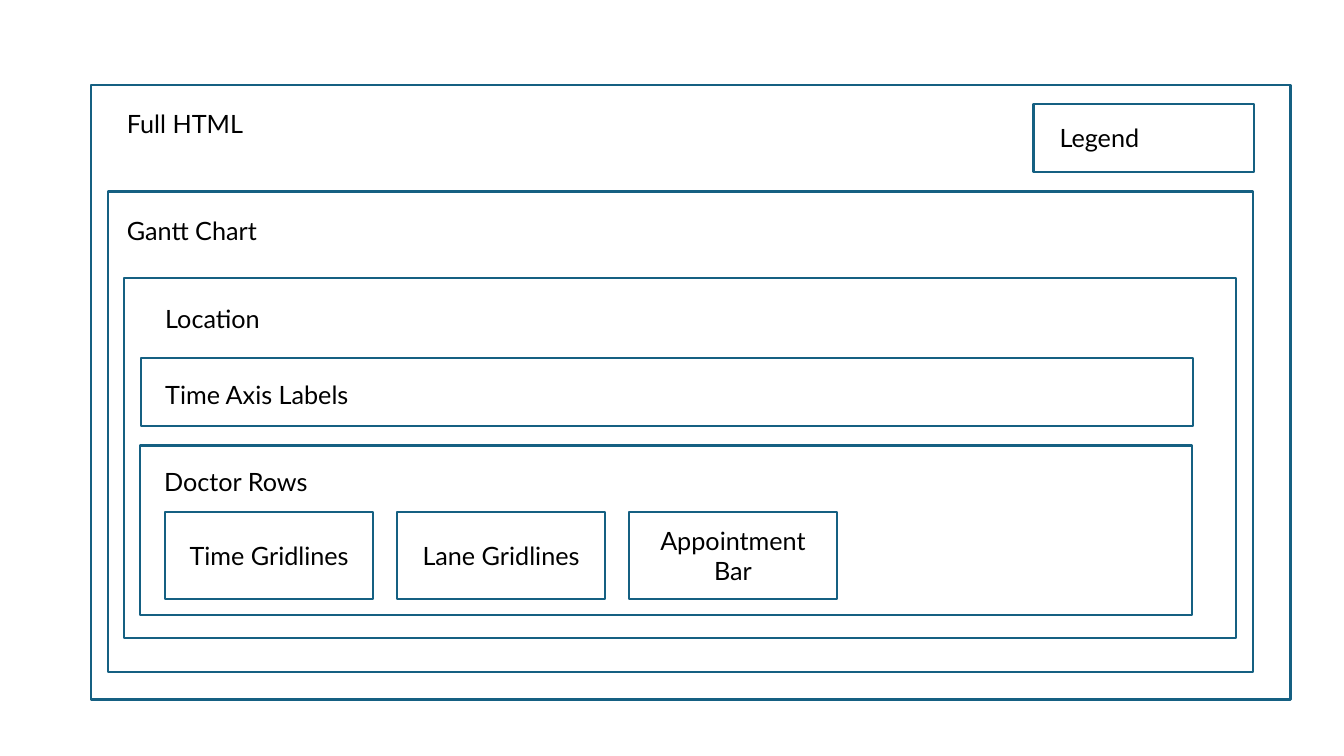
from dataclasses import dataclass

from pptx import Presentation
from pptx.dml.color import RGBColor as Color
from pptx.enum.shapes import MSO_SHAPE as Preset
from pptx.enum.text import MSO_ANCHOR as Anchor, PP_ALIGN as Align
from pptx.util import Inches, Pt


@dataclass(frozen=True)
class Theme:
    font: str = "Lato"
    size: float = 18
    ink: str = "000000"
    fill: str = "FFFFFF"
    outline: str = "156082"
    outline_width: float = 1.5
    cell: float = 0.1  # inches per grid column and row


def write(frame, text, *, theme, align=Align.LEFT, anchor=Anchor.TOP):
    """Set the text of a frame in the theme's type."""
    frame.word_wrap = True
    frame.vertical_anchor = anchor
    para = frame.paragraphs[0]
    para.alignment = align
    span = para.add_run()
    span.text = text
    span.font.name = theme.font
    span.font.size = Pt(theme.size)
    span.font.color.rgb = Color.from_string(theme.ink)


class Diagram:
    """Draws on one page; lengths are grid columns and rows."""

    def __init__(self, page, theme):
        self.page = page
        self.theme = theme

    def grid(self, *cells):
        return [Inches(count * self.theme.cell) for count in cells]

    def box(self, column, row, columns, rows, text=None):
        theme = self.theme
        box = self.page.shapes.add_shape(
            Preset.RECTANGLE, *self.grid(column, row, columns, rows))
        box.shadow.inherit = False
        box.fill.solid()
        box.fill.fore_color.rgb = Color.from_string(theme.fill)
        box.line.color.rgb = Color.from_string(theme.outline)
        box.line.width = Pt(theme.outline_width)
        if text:
            write(box.text_frame, text, theme=theme,
                  align=Align.CENTER, anchor=Anchor.MIDDLE)
        return box

    def label(self, column, row, text, columns=18.5):
        label = self.page.shapes.add_textbox(
            *self.grid(column, row, columns, 4))
        write(label.text_frame, text, theme=self.theme)
        return label


def main():
    deck = Presentation()
    deck.slide_width, deck.slide_height = Inches(13.33), Inches(7.5)
    page = deck.slides.add_slide(deck.slide_layouts[6])
    diagram = Diagram(page, Theme())

    # Nested regions, outermost first: box, then label position and width
    regions = [
        ("Full HTML", (9, 8.4, 119, 61), (11.6, 10.3), 18.5),
        ("Legend", (102.5, 10.3, 21.9, 6.8), (104.1, 11.6), 18.5),
        ("Gantt Chart", (10.7, 19, 113.6, 47.7), (11.6, 20.9), 18.5),
        ("Location", (12.3, 27.6, 110.3, 35.7), (15.4, 29.6), 18.5),
        ("Time Axis Labels", (14, 35.5, 104.3, 6.8), (15.4, 37.1), 25.8),
        ("Doctor Rows", (13.9, 44.2, 104.3, 16.8), (15.3, 45.8), 25.8),
    ]
    for text, area, (column, row), columns in regions:
        diagram.box(*area)
        diagram.label(column, row, text, columns)

    # Evenly spaced parts of a doctor row
    parts = ["Time Gridlines", "Lane Gridlines", "Appointment Bar"]
    first, pitch = 16.4, 23
    for index, text in enumerate(parts):
        diagram.box(first + index * pitch, 50.8, 20.6, 8.6, text)

    deck.save("out.pptx")


if __name__ == "__main__":
    main()
